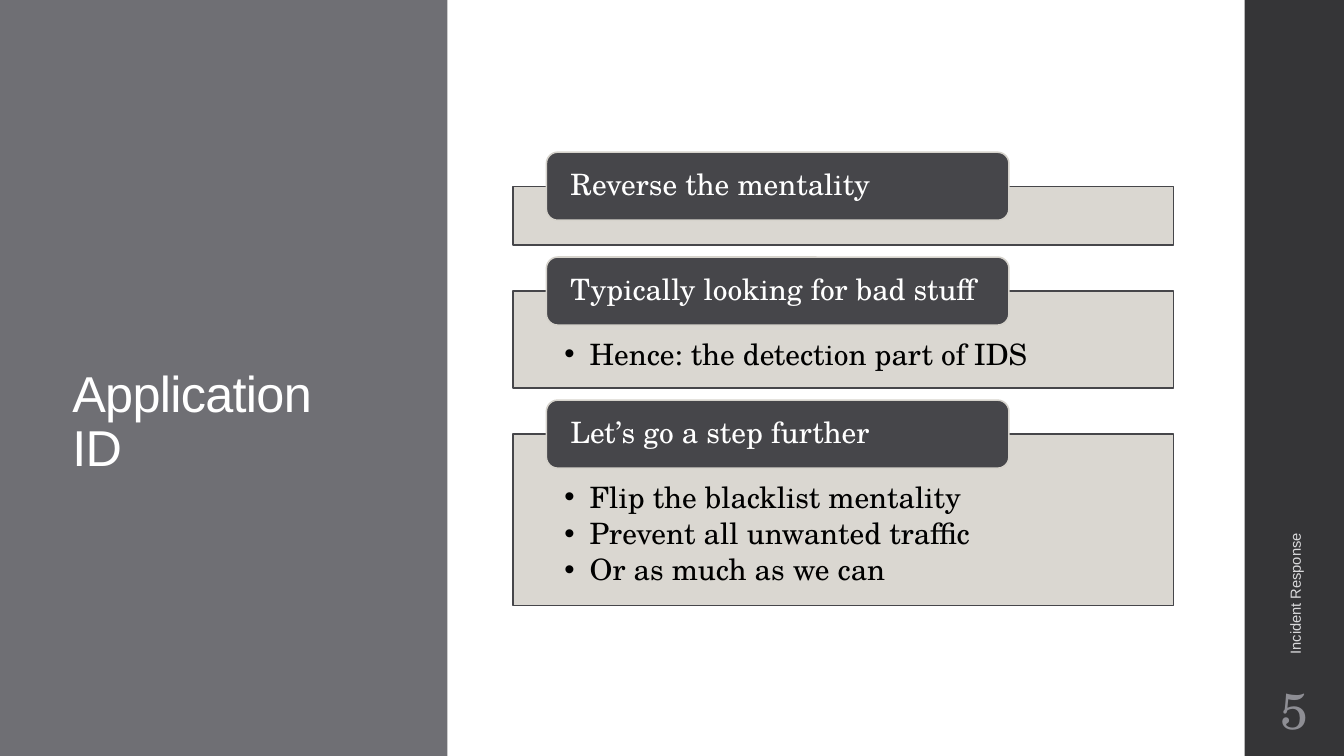
from lxml import etree
from pptx import Presentation
from pptx.dml import color
from pptx.enum import shapes, text
from pptx.oxml import ns
from pptx.util import Pt

SERIF = "TeX Gyre Schola"
SANS = "Arial"
DARK = "46464A"
SAND = "D6D3CC"
TOPICS = [
    ("Reverse the mentality", [], 41.8),
    ("Typically looking for bad stuff", ["Hence: the detection part of IDS"], 69.1),
    ("Let’s go a step further",
     ["Flip the blacklist mentality", "Prevent all unwanted traffic", "Or as much as we can"],
     122.4),
]


def rgb(hex_code):
    """Turn a hex string into a colour."""
    return color.RGBColor.from_string(hex_code)


def add_block(slide, preset, box, fill, line=None):
    """Add a filled preset shape, outlined only if a line colour is given."""
    block = slide.shapes.add_shape(preset, *map(Pt, box))
    block.shadow.inherit = False
    block.fill.solid()
    block.fill.fore_color.rgb = rgb(fill)
    if line:
        block.line.color.rgb = rgb(line)
        block.line.width = Pt(1.1)
    else:
        block.line.fill.background()
    return block


def add_label(slide, box):
    """Add an empty wrapping text box."""
    label = slide.shapes.add_textbox(*map(Pt, box))
    label.text_frame.word_wrap = True
    return label


def write(frame, lines, size, font, ink, anchor=text.MSO_ANCHOR.MIDDLE, insets=None,
          align=text.PP_ALIGN.LEFT, spacing=0.9, after=0, bullet=False):
    """Write paragraphs of one style into a text frame."""
    frame.vertical_anchor = anchor
    if insets:
        (frame.margin_left, frame.margin_top,
         frame.margin_right, frame.margin_bottom) = map(Pt, insets)
    for index, line in enumerate(lines):
        paragraph = frame.paragraphs[0] if index == 0 else frame.add_paragraph()
        paragraph.text = line
        if bullet:
            properties = paragraph._p.get_or_add_pPr()
            properties.set("marL", str(Pt(18)))
            properties.set("indent", str(-Pt(18)))
            etree.SubElement(properties, ns.qn("a:buFont"), typeface=SANS)
            etree.SubElement(properties, ns.qn("a:buChar"), char="•")
        paragraph.alignment = align
        paragraph.line_spacing = spacing
        paragraph.space_after = Pt(after)
        paragraph.font.size = Pt(size)
        paragraph.font.name = font
        paragraph.font.color.rgb = rgb(ink)


def add_title_panel(slide, left, top, width, height):
    """Draw the grey panel with the slide title."""
    add_block(slide, shapes.MSO_SHAPE.RECTANGLE, (left, top, width, height), "6F6F74")
    title = add_label(slide, (left + 44.6, top + 65.5, 213.8, 473.8 - 0))
    write(title.text_frame, ["Application ID"], 36, SANS, "FFFFFF")
    title.text_frame.paragraphs[0].runs[0]._r.get_or_add_rPr().set("spc", "-50")


def add_side_strip(slide, left, top, width, height):
    """Draw the dark strip with the rotated footer and the page number."""
    add_block(slide, shapes.MSO_SHAPE.RECTANGLE, (left, top, width, height), "353537")
    length, depth = 282.2, 28.8
    footer = add_label(slide, (left + (width - length) / 2, top + 319, length, depth))
    footer.rotation = 270
    write(footer.text_frame, ["Incident Response"], 10.5, SANS, "D9D9DB", spacing=1)
    number = add_label(slide, (left, top + 486, width, 46.8))
    write(number.text_frame, ["5"], 36, SERIF, "8E8E94", insets=(3.6,) * 4,
          align=text.PP_ALIGN.CENTER)


def add_topic(slide, left, top, width, height, heading, points):
    """Draw a sand panel of bullet points with its heading bar across the top edge."""
    overlap = 24.4
    panel = add_block(slide, shapes.MSO_SHAPE.RECTANGLE,
                      (left, top + overlap, width, height), SAND, DARK)
    tint = panel.fill._xPr.find(".//" + ns.qn("a:srgbClr"))
    etree.SubElement(tint, ns.qn("a:alpha"), val="90000")
    if points:
        write(panel.text_frame, points, 21, SERIF, "000000", text.MSO_ANCHOR.TOP,
              (36.6, 34.6, 36.6, 11.5), after=3.15, bullet=True)
    bar = add_block(slide, shapes.MSO_SHAPE.ROUNDED_RECTANGLE,
                    (left + 23.7, top, 330.4, 48.6), DARK, SAND)
    write(bar.text_frame, [heading], 21, SERIF, "FFFFFF", insets=(14.8, 2.4, 14.8, 2.4))
    return top + overlap + height


def add_topics(slide, left, top, width):
    """Stack the topics with an equal gap between them."""
    for heading, points, height in TOPICS:
        top = add_topic(slide, left, top, width, height, heading, points) + 8.7


def main():
    """Build the slide and save it."""
    deck = Presentation()
    deck.slide_width, deck.slide_height = Pt(960), Pt(540)
    slide = deck.slides.add_slide(deck.slide_layouts[6])
    add_title_panel(slide, 0, 0, 319.6, 540)
    add_side_strip(slide, 889, 0, 72, 540)
    add_topics(slide, 366.6, 108.7, 471.8)
    deck.save("out.pptx")


if __name__ == "__main__":
    main()
